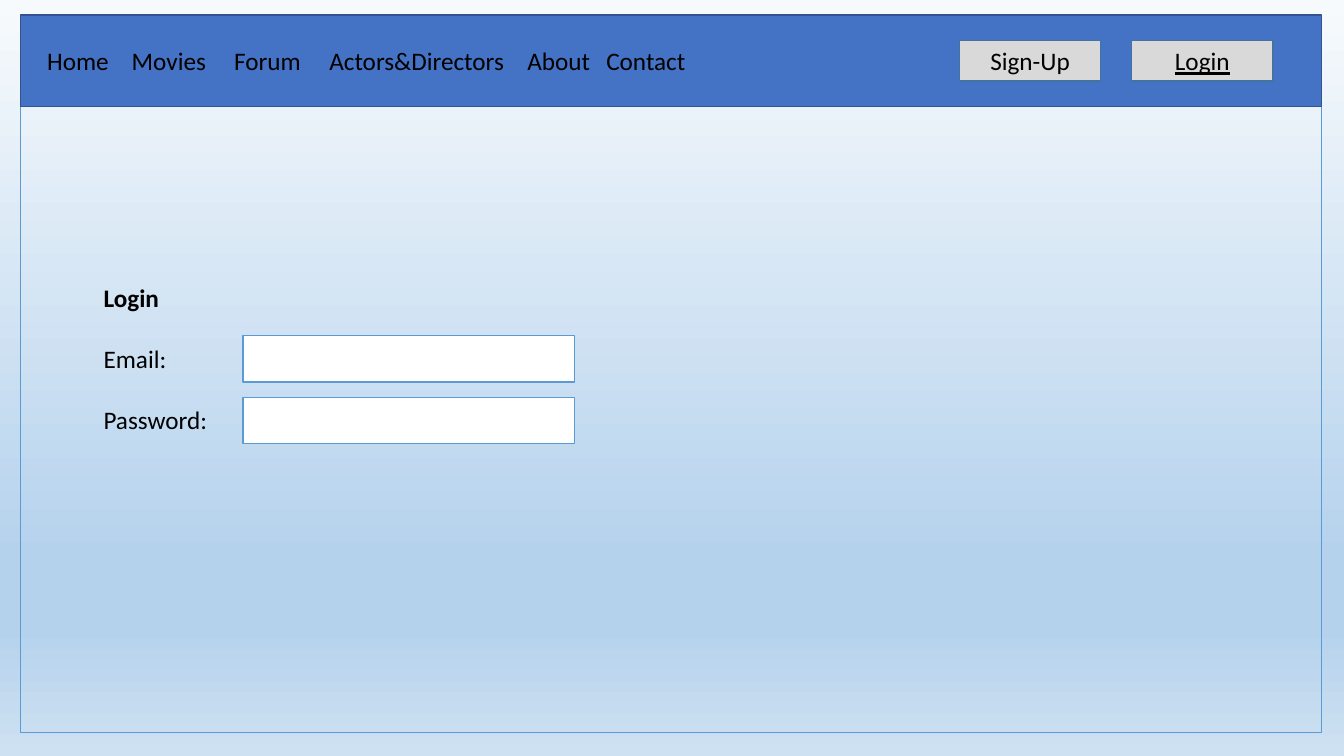
"""Build the login page mock-up slide with its navigation bar and form."""
from lxml import etree
from pptx import Presentation
from pptx import util as u
from pptx.dml.color import RGBColor
from pptx.enum import shapes, text
from pptx.oxml import ns

MENU = [("Home", 0), ("Movies", 2.13), ("Forum", 4.71),
        ("Actors&Directors", 7.11), ("About", 12.1), ("Contact", 14.09)]
BUTTONS = [("Sign-Up", False), ("Login", True)]
FORM_TITLE = "Login"
FORM_LABELS = ["Email:", "Password:"]
BACKGROUND_STOPS = [(0, "F7FAFD"), (74, "B5D2EC"), (83, "B5D2EC"), (100, "CEE1F2")]

BLACK = RGBColor(0x00, 0x00, 0x00)
WHITE = RGBColor(0xFF, 0xFF, 0xFF)
GREY = RGBColor(0xD9, 0xD9, 0xD9)
BLUE = RGBColor(0x44, 0x72, 0xC4)
BAR_EDGE = RGBColor(0x32, 0x54, 0x91)
BUTTON_EDGE = RGBColor(0x43, 0x73, 0x9E)
FIELD_EDGE = RGBColor(0x5B, 0x9B, 0xD5)

PAGE_LEFT, PAGE_TOP, PAGE_WIDTH, PAGE_HEIGHT = 0.51, 0.38, 32.79, 18.08
BAR_HEIGHT = 2.31
ROW_TOP, ROW_HEIGHT = 1.02, 1.02
BUTTON_LEFT, BUTTON_WIDTH, BUTTON_PITCH = 24.18, 3.56, 4.34
FIELD_LEFT, FIELD_TOP, FIELD_PITCH = 6.12, 8.46, 1.55


def add_box(slide, left, top, width, height, edge, fill=None, weight=1):
    box = slide.shapes.add_shape(shapes.MSO_SHAPE.RECTANGLE, u.Cm(left), u.Cm(top),
                                 u.Cm(width), u.Cm(height))
    box.shadow.inherit = False
    if fill is None:
        box.fill.background()
    else:
        box.fill.solid()
        box.fill.fore_color.rgb = fill
    box.line.color.rgb = edge
    box.line.width = u.Pt(weight)
    return box


def write(paragraph, words, bold=False, underline=False, align=text.PP_ALIGN.LEFT, before=0):
    paragraph.alignment = align
    paragraph.space_before = u.Pt(before)
    run = paragraph.add_run()
    run.text = words
    run.font.name = "Calibri"
    run.font.size = u.Pt(18)
    run.font.bold = bold
    run.font.underline = underline
    run.font.color.rgb = BLACK


def add_text_frame(slide, left, top, width, height):
    frame = slide.shapes.add_textbox(u.Cm(left), u.Cm(top), u.Cm(width), u.Cm(height)).text_frame
    frame.word_wrap = True
    return frame


def paint_background(slide):
    fill = slide.background.fill
    fill.gradient()
    fill.gradient_angle = 270
    stops = slide.element.find(".//" + ns.qn("a:gsLst"))
    for stop in list(stops):
        stops.remove(stop)
    for percent, colour in BACKGROUND_STOPS:
        stop = etree.SubElement(stops, ns.qn("a:gs"), pos=str(percent * 1000))
        etree.SubElement(stop, ns.qn("a:srgbClr"), val=colour)


def add_menu(slide):
    menu = add_text_frame(slide, 0.94, ROW_TOP, 18.39, ROW_HEIGHT).paragraphs[0]
    write(menu, "\t".join(item for item, _ in MENU))
    tabs = etree.SubElement(menu._p.get_or_add_pPr(), ns.qn("a:tabLst"))
    for _, offset in MENU[1:]:
        etree.SubElement(tabs, ns.qn("a:tab"), pos=str(u.Cm(offset)), algn="l")


def add_buttons(slide):
    for index, (caption, current) in enumerate(BUTTONS):
        button = add_box(slide, BUTTON_LEFT + index * BUTTON_PITCH, ROW_TOP,
                         BUTTON_WIDTH, ROW_HEIGHT, BUTTON_EDGE, GREY)
        button.text_frame.vertical_anchor = text.MSO_ANCHOR.MIDDLE
        write(button.text_frame.paragraphs[0], caption, underline=current,
              align=text.PP_ALIGN.CENTER)


def add_form(slide):
    labels = add_text_frame(slide, 2.36, 6.99, 3.76, 4.11)
    write(labels.paragraphs[0], FORM_TITLE, bold=True)
    for index, label in enumerate(FORM_LABELS):
        write(labels.add_paragraph(), label, before=22)
        add_box(slide, FIELD_LEFT, FIELD_TOP + index * FIELD_PITCH, 8.36, 1.17,
                FIELD_EDGE, WHITE)


def main():
    deck = Presentation()
    deck.slide_width, deck.slide_height = u.Cm(33.87), u.Cm(19.05)
    slide = deck.slides.add_slide(deck.slide_layouts[6])
    paint_background(slide)
    add_box(slide, PAGE_LEFT, PAGE_TOP, PAGE_WIDTH, PAGE_HEIGHT, FIELD_EDGE, weight=0.75)
    add_box(slide, PAGE_LEFT, PAGE_TOP, PAGE_WIDTH, BAR_HEIGHT, BAR_EDGE, BLUE)
    add_menu(slide)
    add_buttons(slide)
    add_form(slide)
    deck.save("out.pptx")


if __name__ == "__main__":
    main()
